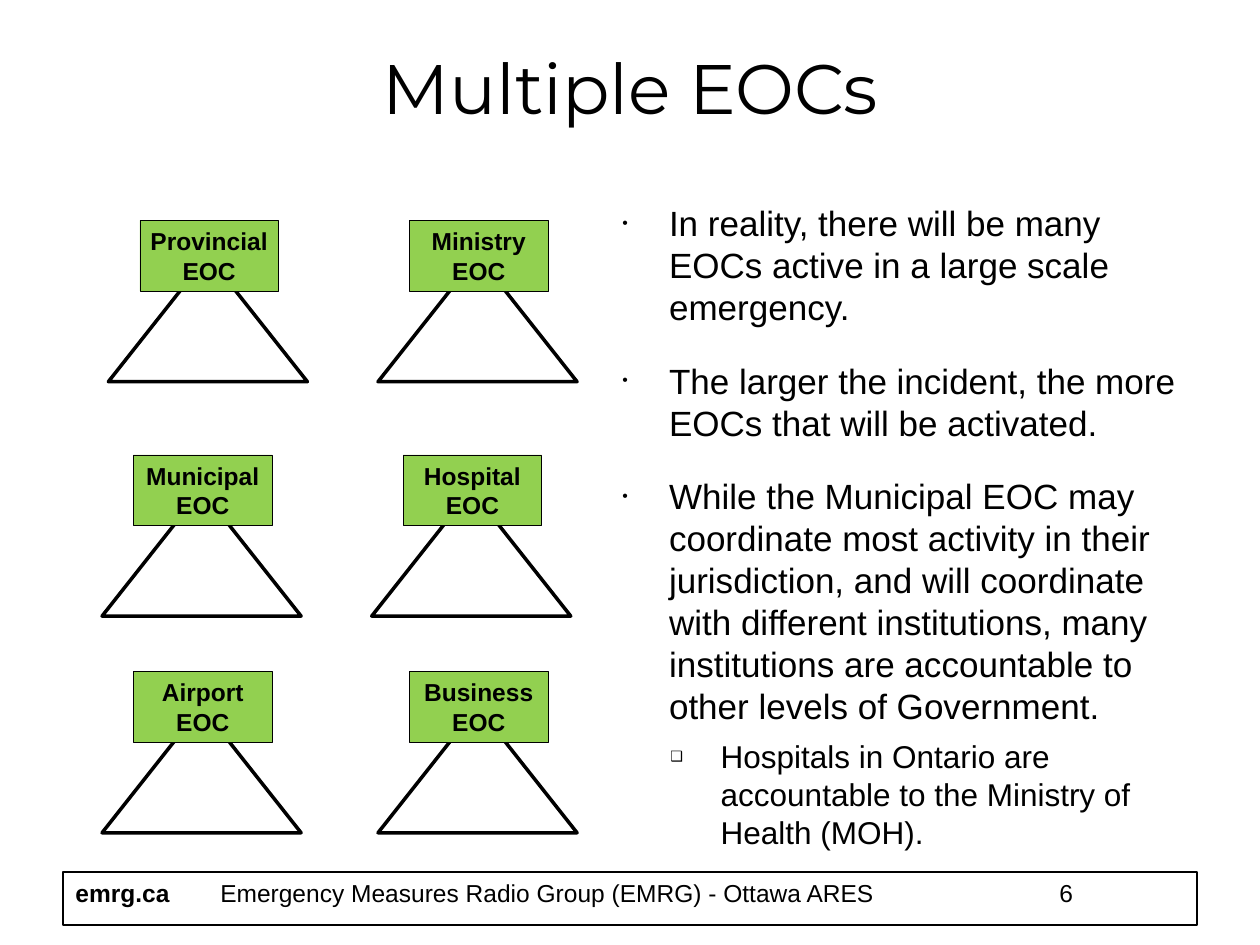
from lxml.etree import SubElement
from pptx import Presentation
from pptx.dml.color import RGBColor
from pptx.enum.shapes import MSO_SHAPE as Shape
from pptx.enum.text import MSO_ANCHOR as Anchor, MSO_AUTO_SIZE as AutoSize, PP_ALIGN as Align
from pptx.oxml.ns import qn
from pptx.util import Inches, Pt

BLACK = RGBColor(0x00, 0x00, 0x00)
GREEN = RGBColor(0x92, 0xD0, 0x50)

TITLE = "Multiple EOCs"
POINTS = [  # level, text
    (0, "In reality, there will be many EOCs active in a large scale emergency."),
    (0, "The larger the incident, the more EOCs that will be activated."),
    (0, "While the Municipal EOC may coordinate most activity in their jurisdiction, "
        "and will coordinate with different institutions, many institutions are "
        "accountable to other levels of Government."),
    (1, "Hospitals in Ontario are accountable to the Ministry of Health (MOH)."),
]
LEVELS = [  # bullet, margin, indent, space before, size
    ("•", 0.38, -0.37, 18, 20),
    ("❑", 0.79, -0.4, 6, 18),
]
CENTRES = [  # name, left and top of its label
    ("Municipal", 1.06, 3.61),
    ("Hospital", 3.2, 3.61),
    ("Airport", 1.06, 5.33),
    ("Business", 3.25, 5.33),
    ("Ministry", 3.25, 1.75),
    ("Provincial", 1.11, 1.75),
]
LABEL_SIZE = (1.1, 0.56)
TRIANGLE_SIZE = (1.58, 1)
TRIANGLE_OFFSET = (-0.25, 0.28)
FOOTER_TOP = 6.92
FOOTER = [  # text, left, width, bold
    ("emrg.ca", 0.5, 1.01, True),
    ("Emergency Measures Radio Group (EMRG) - Ottawa ARES", 1.65, 6.6, False),
    ("6", 8.31, 1.19, False),
]


def set_font(paragraph, size, name="Arial", bold=False):
    font = paragraph.font
    font.name, font.size, font.bold = name, Pt(size), bold
    font.color.rgb = BLACK


def add_outline(slide, kind, left, top, size, weight, fill=None):
    shape = slide.shapes.add_shape(kind, Inches(left), Inches(top), *map(Inches, size))
    shape.shadow.inherit = False
    shape.line.color.rgb = BLACK
    shape.line.width = Pt(weight)
    if fill is None:
        shape.fill.background()
    else:
        shape.fill.solid()
        shape.fill.fore_color.rgb = fill
    return shape


def place(placeholder, left, top, width, height):
    placeholder.left, placeholder.top = Inches(left), Inches(top)
    placeholder.width, placeholder.height = Inches(width), Inches(height)
    frame = placeholder.text_frame
    frame.auto_size = AutoSize.NONE
    frame.vertical_anchor = Anchor.TOP
    return frame


def set_bullet(paragraph, char, margin, indent):
    props = paragraph._p.get_or_add_pPr()
    props.set("marL", str(Inches(margin)))
    props.set("indent", str(Inches(indent)))
    colour = SubElement(props, qn("a:buClr"))
    SubElement(colour, qn("a:srgbClr"), val=str(BLACK))
    SubElement(props, qn("a:buSzPct"), val="45000")
    SubElement(props, qn("a:buChar"), char=char)


def add_points(frame):
    for index, (level, text) in enumerate(POINTS):
        char, margin, indent, space, size = LEVELS[level]
        paragraph = frame.add_paragraph() if index else frame.paragraphs[0]
        paragraph.text = text
        paragraph.level = level
        paragraph.space_before = Pt(space if index else 0)
        set_bullet(paragraph, char, margin, indent)
        set_font(paragraph, size)


def add_centre(slide, name, left, top):
    dx, dy = TRIANGLE_OFFSET
    add_outline(slide, Shape.ISOSCELES_TRIANGLE, left + dx, top + dy, TRIANGLE_SIZE, 2)
    label = add_outline(slide, Shape.RECTANGLE, left, top, LABEL_SIZE, 0.25, GREEN)
    frame = label.text_frame
    frame.vertical_anchor = Anchor.MIDDLE
    frame.margin_left = frame.margin_right = Inches(0.08)
    frame.text = f"{name}\nEOC"
    for paragraph in frame.paragraphs:
        paragraph.alignment = Align.CENTER
        set_font(paragraph, 14, bold=True)


def add_footer(slide):
    add_outline(slide, Shape.RECTANGLE, 0.5, FOOTER_TOP, (9, 0.42), 1)
    for text, left, width, bold in FOOTER:
        box = slide.shapes.add_textbox(
            Inches(left), Inches(FOOTER_TOP), Inches(width), Inches(0.42))
        box.text_frame.word_wrap = True
        box.text_frame.text = text
        set_font(box.text_frame.paragraphs[0], 14, bold=bold)


def main():
    deck = Presentation()
    deck.slide_width, deck.slide_height = Inches(10), Inches(7.5)
    slide = deck.slides.add_slide(deck.slide_layouts[1])

    heading = place(slide.shapes.title, 0.5, 0.3, 9, 1.25)
    heading.text = TITLE
    heading.paragraphs[0].alignment = Align.CENTER
    set_font(heading.paragraphs[0], 40, "Montserrat")

    add_points(place(slide.placeholders[1], 4.83, 1.55, 4.67, 5.37))
    add_footer(slide)
    for centre in CENTRES:
        add_centre(slide, *centre)
    deck.save("out.pptx")


if __name__ == "__main__":
    main()
